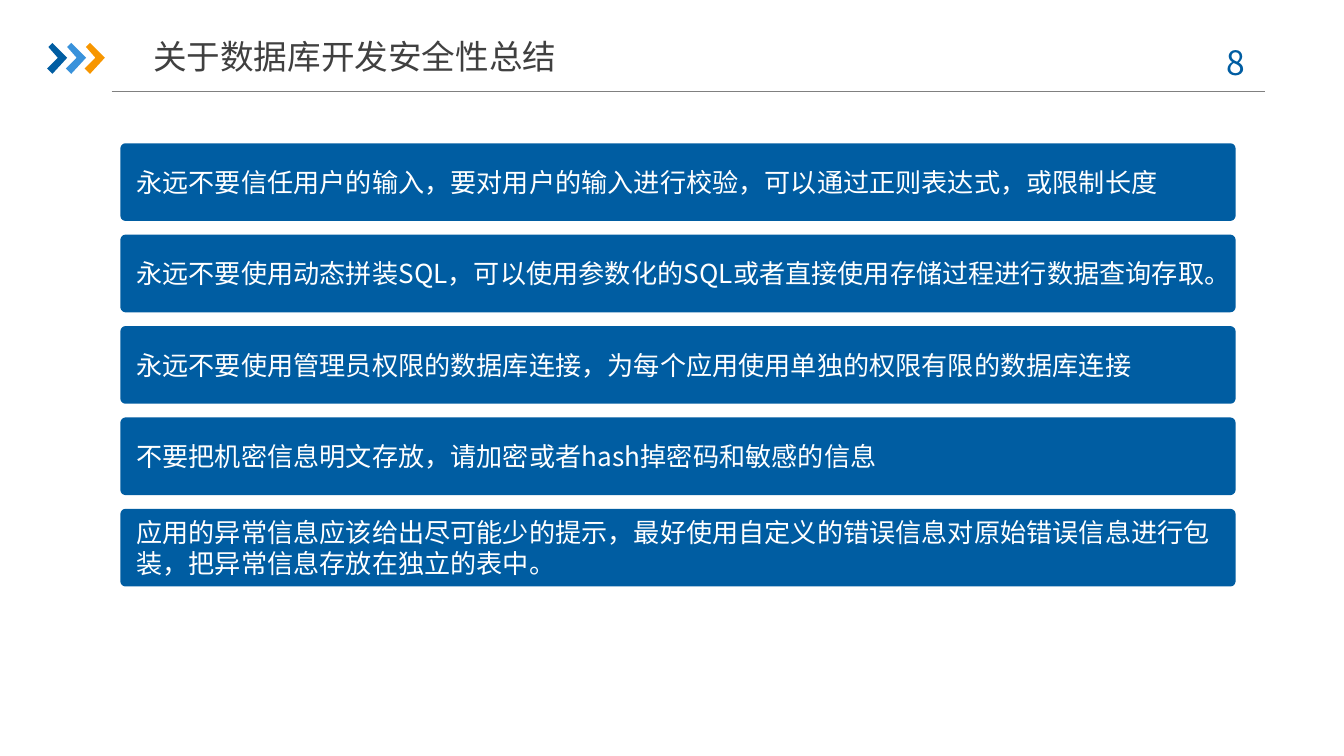
from dataclasses import dataclass

from lxml.etree import SubElement
from pptx import Presentation
from pptx.dml.color import RGBColor as Rgb
from pptx.enum.shapes import MSO_CONNECTOR as Link, MSO_SHAPE as Shape
from pptx.enum.text import MSO_ANCHOR as Anchor, MSO_AUTO_SIZE as Fit, PP_ALIGN as Align
from pptx.oxml.ns import qn
from pptx.util import Inches, Pt

FONT = "Noto Sans CJK SC"
COLORS = {
    "blue": "005DA2",
    "sky": "3992DB",
    "gold": "F79600",
    "rule": "808080",
    "title": "404040",
    "white": "FFFFFF",
}
TIPS = [
    "永远不要信任用户的输入，要对用户的输入进行校验，可以通过正则表达式，或限制长度",
    "永远不要使用动态拼装SQL，可以使用参数化的SQL或者直接使用存储过程进行数据查询存取。",
    "永远不要使用管理员权限的数据库连接，为每个应用使用单独的权限有限的数据库连接",
    "不要把机密信息明文存放，请加密或者hash掉密码和敏感的信息",
    "应用的异常信息应该给出尽可能少的提示，最好使用自定义的错误信息对原始错误信息进行包装，把异常信息存放在独立的表中。",
]
CHEVRON = [(0.01, 0.03), (0.04, 0), (0.15, 0.11), (0.04, 0.23), (0, 0.19), (0.08, 0.11)]


@dataclass
class Box:
    left: float
    top: float
    width: float
    height: float

    def spots(self) -> list:
        return [Inches(n) for n in (self.left, self.top, self.width, self.height)]


@dataclass
class Style:
    size: int
    color: str
    align: Align = Align.LEFT
    anchor: Anchor = Anchor.MIDDLE
    inset: float = 0.1


def tint(name: str) -> Rgb:
    return Rgb.from_string(COLORS[name])


def write(shape, text: str, style: Style) -> None:
    frame = shape.text_frame
    frame.text = text
    side, edge = Inches(style.inset), Inches(0.05)
    looks = {
        "word_wrap": True,
        "auto_size": Fit.NONE,
        "vertical_anchor": style.anchor,
        "margin_left": side,
        "margin_right": side,
        "margin_top": edge,
        "margin_bottom": edge,
    }
    for key, value in looks.items():
        setattr(frame, key, value)
    para = frame.paragraphs[0]
    para.alignment = style.align
    run = para.runs[0]
    for key, value in {"name": FONT, "size": Pt(style.size), "bold": False}.items():
        setattr(run.font, key, value)
    run.font.color.rgb = tint(style.color)
    SubElement(run.font._element, qn("a:ea"), typeface=FONT)


def add_rule(slide) -> None:
    rule = slide.shapes.add_connector(
        Link.STRAIGHT, Inches(0.83), Inches(0.68), Inches(9.41), Inches(0.68))
    rule.line.color.rgb = tint("rule")
    rule.line.width = Pt(0.75)
    SubElement(rule._element.spPr, qn("a:effectLst"))


def add_mark(slide, left: float, color: str) -> None:
    dots = [(Inches(left + x), Inches(0.32 + y)) for x, y in CHEVRON]
    pen = slide.shapes.build_freeform(*dots[0])
    pen.add_line_segments(dots[1:], close=True)
    mark = pen.convert_to_shape()
    mark.shadow.inherit = False
    mark.fill.solid()
    mark.fill.fore_color.rgb = tint(color)
    mark.line.fill.background()


def add_tip(slide, box: Box, text: str) -> None:
    bar = slide.shapes.add_shape(Shape.ROUNDED_RECTANGLE, *box.spots())
    bar.adjustments[0] = 0.046
    bar.shadow.inherit = False
    bar.fill.solid()
    bar.fill.fore_color.rgb = bar.line.color.rgb = tint("blue")
    bar.line.width = Pt(2)
    write(bar, text, Style(14, "white"))


def main() -> None:
    deck = Presentation()
    deck.slide_width, deck.slide_height = Inches(10), Inches(10 * 9 / 16)
    slide = deck.slides.add_slide(deck.slide_layouts[5])

    add_rule(slide)
    for i, color in enumerate(("blue", "sky", "gold")):
        add_mark(slide, 0.35 + 0.14 * i, color)

    page = slide.shapes.add_textbox(*Box(8.83, 0.26, 0.73, 0.4).spots())
    write(page, "8", Style(18, "blue", Align.CENTER, Anchor.TOP))

    title = slide.shapes.title
    spots = Box(0.91, 0.21, 3.46, 0.42).spots()
    for key, value in zip(("left", "top", "width", "height"), spots):
        setattr(title, key, value)
    write(title, "关于数据库开发安全性总结", Style(18, "title", Align.CENTER, inset=0))

    for i, text in enumerate(TIPS):
        add_tip(slide, Box(0.91, 1.08 + 0.68 * i, 8.27, 0.55), text)
    deck.save("out.pptx")


if __name__ == "__main__":
    main()
